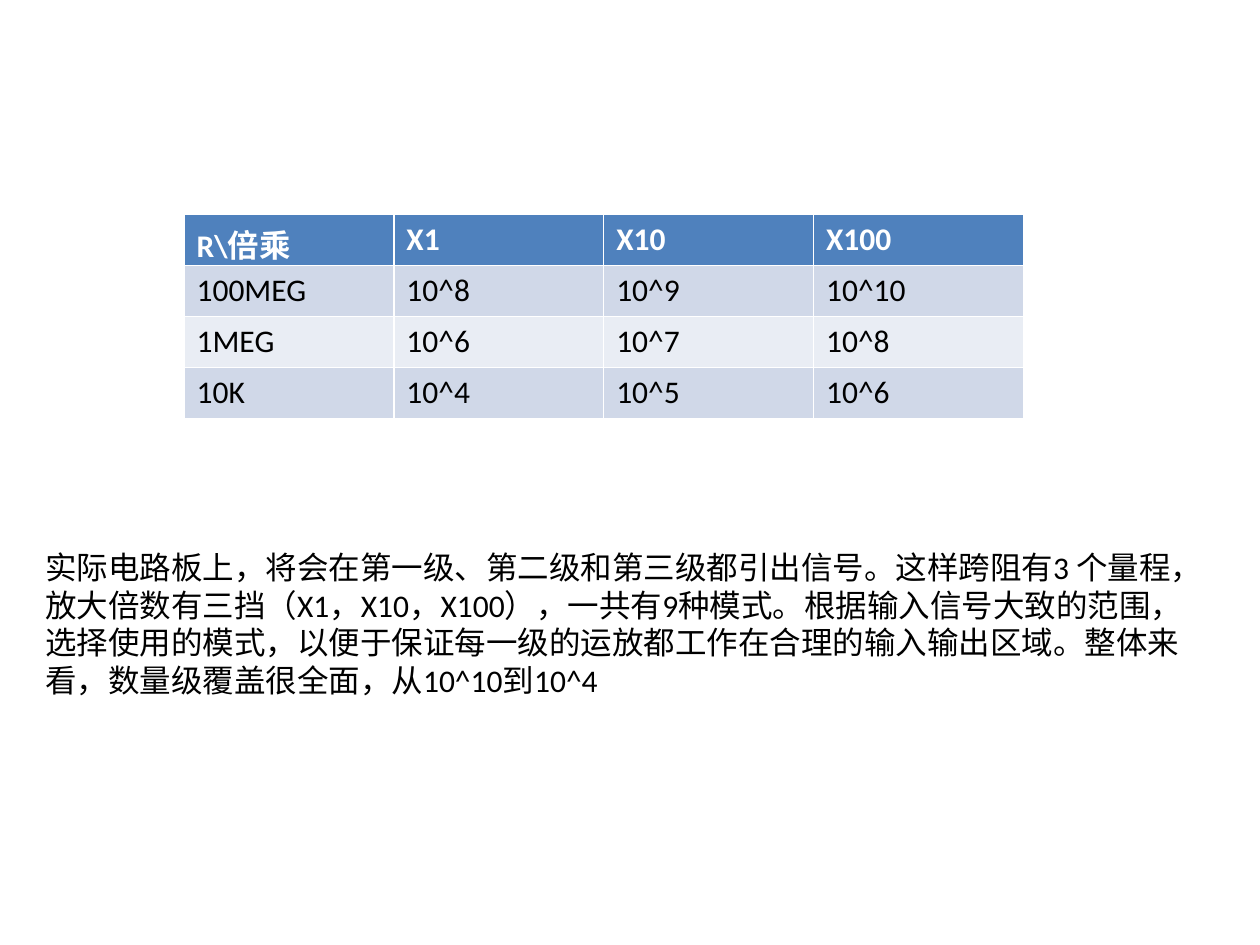
from pptx import Presentation
from pptx.dml.color import RGBColor
from pptx.enum import text
from pptx.util import Cm, Pt

ROWS = [
    ("R\\倍乘", "X1", "X10", "X100"),
    ("100MEG", "10^8", "10^9", "10^10"),
    ("1MEG", "10^6", "10^7", "10^8"),
    ("10K", "10^4", "10^5", "10^6"),
]
NOTE = (
    "实际电路板上，将会在第一级、第二级和第三级都引出信号。这样跨阻有3 个量程，"
    "放大倍数有三挡（X1，X10，X100），一共有9种模式。根据输入信号大致的范围，"
    "选择使用的模式，以便于保证每一级的运放都工作在合理的输入输出区域。"
    "整体来看，数量级覆盖很全面，从10^10到10^4"
)
HEAD, BANDS = "4F81BD", ("E9EDF4", "D0D8E8")
COL, ROW = 4.23, 1.03


def color(code):
    return RGBColor.from_string(code)


def write(frame, words, code="000000", bold=False):
    para = frame.paragraphs[0]
    para.text = words
    font = para.runs[0].font
    look = {"name": "Calibri", "size": Pt(18), "bold": bold}
    for key, value in look.items():
        setattr(font, key, value)
    font.color.rgb = color(code)


def add_grid(slide):
    wide, high = len(ROWS[0]), len(ROWS)
    grid = slide.shapes.add_table(
        high, wide, Cm(3.71), Cm(4.32), Cm(COL * wide), Cm(ROW * high)
    ).table
    for r, row in enumerate(ROWS):
        for c, words in enumerate(row):
            cell = grid.cell(r, c)
            cell.fill.solid()
            cell.fill.fore_color.rgb = color(BANDS[r % 2] if r else HEAD)
            write(cell.text_frame, words, "000000" if r else "FFFFFF", r == 0)


def add_note(slide):
    box = slide.shapes.add_textbox(Cm(0.66), Cm(10.92), Cm(23.39), Cm(3.33))
    frame = box.text_frame
    frame.word_wrap = True
    frame.auto_size = text.MSO_AUTO_SIZE.SHAPE_TO_FIT_TEXT
    write(frame, NOTE)


def main():
    deck = Presentation()
    deck.slide_width, deck.slide_height = Cm(25.4), Cm(19.05)
    slide = deck.slides.add_slide(deck.slide_layouts[6])
    add_note(slide)
    add_grid(slide)
    deck.save("out.pptx")


if __name__ == "__main__":
    main()
